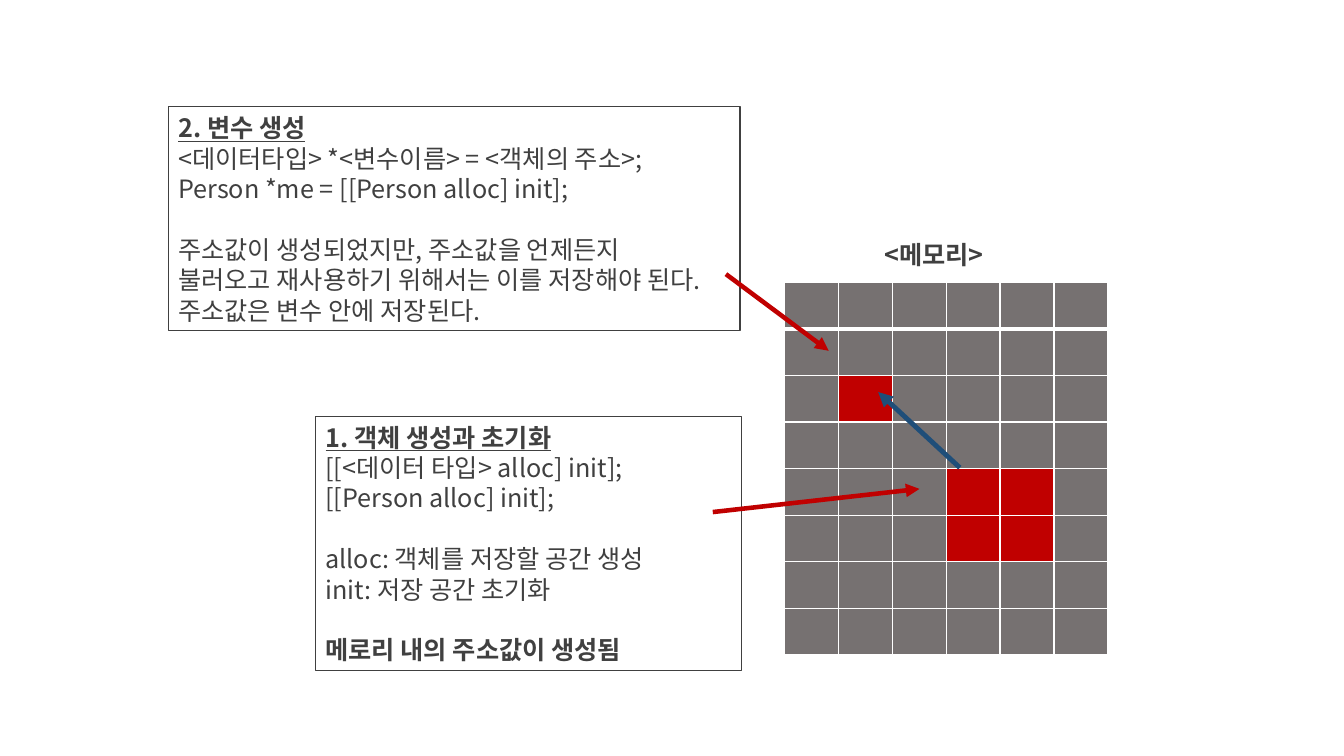
from lxml.etree import SubElement
from pptx import Presentation
from pptx.dml.color import RGBColor as RGB
from pptx.enum.shapes import MSO_CONNECTOR as CONN, MSO_SHAPE as SHAPE
from pptx.enum.text import MSO_ANCHOR as ANCHOR, PP_ALIGN as ALIGN
from pptx.oxml.ns import qn
from pptx.util import Inches, Pt

THEME = {
    "font": "Noto Sans CJK KR", "size": 18, "leading": 21.7,
    "ink": "404040", "cell": "767171", "used": "C00000",
    "pointer": "1F4E79", "grid": "FFFFFF",
}

# Lines of each note: text and its format
VARIABLE_NOTE = [
    ("2. 변수 생성", {"bold": True, "underline": True}),
    ("<데이터타입> *<변수이름> = <객체의 주소>;\vPerson *me = [[Person alloc] init];", {}),
    ("주소값이 생성되었지만, 주소값을 언제든지\v불러오고 재사용하기 위해서는 이를 저장해야 된다.", {"gap": True}),
    ("주소값은 변수 안에 저장된다.", {}),
]
OBJECT_NOTE = [
    ("1. 객체 생성과 초기화", {"bold": True, "underline": True}),
    ("[[<데이터 타입> alloc] init];", {}),
    ("[[Person alloc] init];", {}),
    ("alloc: 객체를 저장할 공간 생성", {"gap": True}),
    ("init: 저장 공간 초기화", {}),
    ("메로리 내의 주소값이 생성됨", {"gap": True, "bold": True}),
]
MEMORY_TITLE = "<메모리>"

# Memory grid: the variable takes one cell, the object a block of four
ROWS, COLS = 8, 6
MEMORY_BOX = (7.78, 2.8, 3.21, 3.24)
VARIABLE_CELLS = {(2, 1)}
OBJECT_CELLS = {(r, c) for r in (4, 5) for c in (3, 4)}

NOTES = [((3.13, 4.13, 4.22, 2.52), OBJECT_NOTE),
         ((1.67, 1.06, 5.67, 2.22), VARIABLE_NOTE)]
ARROWS = [((7.07, 5.08), (9.12, 4.85), "used", 3.25),
          ((7.2, 2.72), (8.22, 3.48), "used", 3.25),
          ((9.52, 4.64), (8.71, 3.89), "pointer", 3.5)]


def color(name):
    """Return a theme colour."""
    return RGB.from_string(THEME[name])


def add_text(p, text, bold=False, underline=False, gap=False, align=ALIGN.LEFT):
    """Write text into a paragraph; gap leaves one line free above it."""
    p.alignment = align
    p.line_spacing = Pt(THEME["leading"])
    p.space_before = Pt(THEME["leading"] if gap else 0)
    for i, line in enumerate(text.split("\v")):
        if i:
            p.add_line_break()
        r = p.add_run()
        r.text = line
        f = r.font
        f.name, f.size = THEME["font"], Pt(THEME["size"])
        f.bold, f.underline = bold, underline
        f.color.rgb = color("ink")
        SubElement(f._element, qn("a:ea"), typeface=THEME["font"])


def add_note(slide, box, lines):
    """Draw an outlined box and fill it with lines of text."""
    sp = slide.shapes.add_shape(SHAPE.RECTANGLE, *map(Inches, box))
    sp.shadow.inherit = False
    sp.fill.background()
    sp.line.color.rgb = color("ink")
    sp.line.width = Pt(0.75)
    tf = sp.text_frame
    tf.word_wrap, tf.vertical_anchor = True, ANCHOR.MIDDLE
    for i, (text, style) in enumerate(lines):
        add_text(tf.add_paragraph() if i else tf.paragraphs[0], text, **style)


def add_arrow(slide, start, end, name, width):
    """Draw a straight arrow between two points."""
    line = slide.shapes.add_connector(CONN.STRAIGHT, *map(Inches, start + end))
    line.line.color.rgb = color(name)
    line.line.width = Pt(width)
    SubElement(line.line._get_or_add_ln(), qn("a:tailEnd"), type="triangle")
    SubElement(line._element.spPr, qn("a:effectLst"))


def set_borders(cell, widths):
    """Give a cell solid borders, keyed by side, below its fill in the XML order."""
    props = cell._tc.get_or_add_tcPr()
    for i, (side, width) in enumerate(widths.items()):
        ln = SubElement(props, qn(f"a:ln{side}"), w=str(Pt(width)))
        fill = SubElement(ln, qn("a:solidFill"))
        SubElement(fill, qn("a:srgbClr"), val=THEME["grid"])
        props.insert(i, ln)


def add_memory(slide):
    """Draw the memory grid with its used cells."""
    table = slide.shapes.add_table(ROWS, COLS, *map(Inches, MEMORY_BOX)).table
    table.first_row = table.horz_banding = False
    for r in range(ROWS):
        for c in range(COLS):
            cell = table.cell(r, c)
            used = (r, c) in VARIABLE_CELLS | OBJECT_CELLS
            cell.fill.solid()
            cell.fill.fore_color.rgb = color("used" if used else "cell")
            set_borders(cell, {"L": 1, "R": 1, "T": 3 if r == 1 else 1,
                               "B": 3 if r == 0 else 1})
            end = SubElement(cell.text_frame.paragraphs[0]._p, qn("a:endParaRPr"),
                             sz=str(THEME["size"] * 100))
            for script in ("latin", "ea"):
                SubElement(end, qn(f"a:{script}"), typeface=THEME["font"])


prs = Presentation()
prs.slide_width, prs.slide_height = Inches(13.33), Inches(7.5)
s = prs.slides.add_slide(prs.slide_layouts[6])

add_memory(s)
title = s.shapes.add_textbox(*map(Inches, (8, 2.32, 2.53, 0.4)))
title.text_frame.word_wrap = True
add_text(title.text_frame.paragraphs[0], MEMORY_TITLE, bold=True, align=ALIGN.CENTER)
for box, lines in NOTES:
    add_note(s, box, lines)
for arrow in ARROWS:
    add_arrow(s, *arrow)
prs.save("out.pptx")
